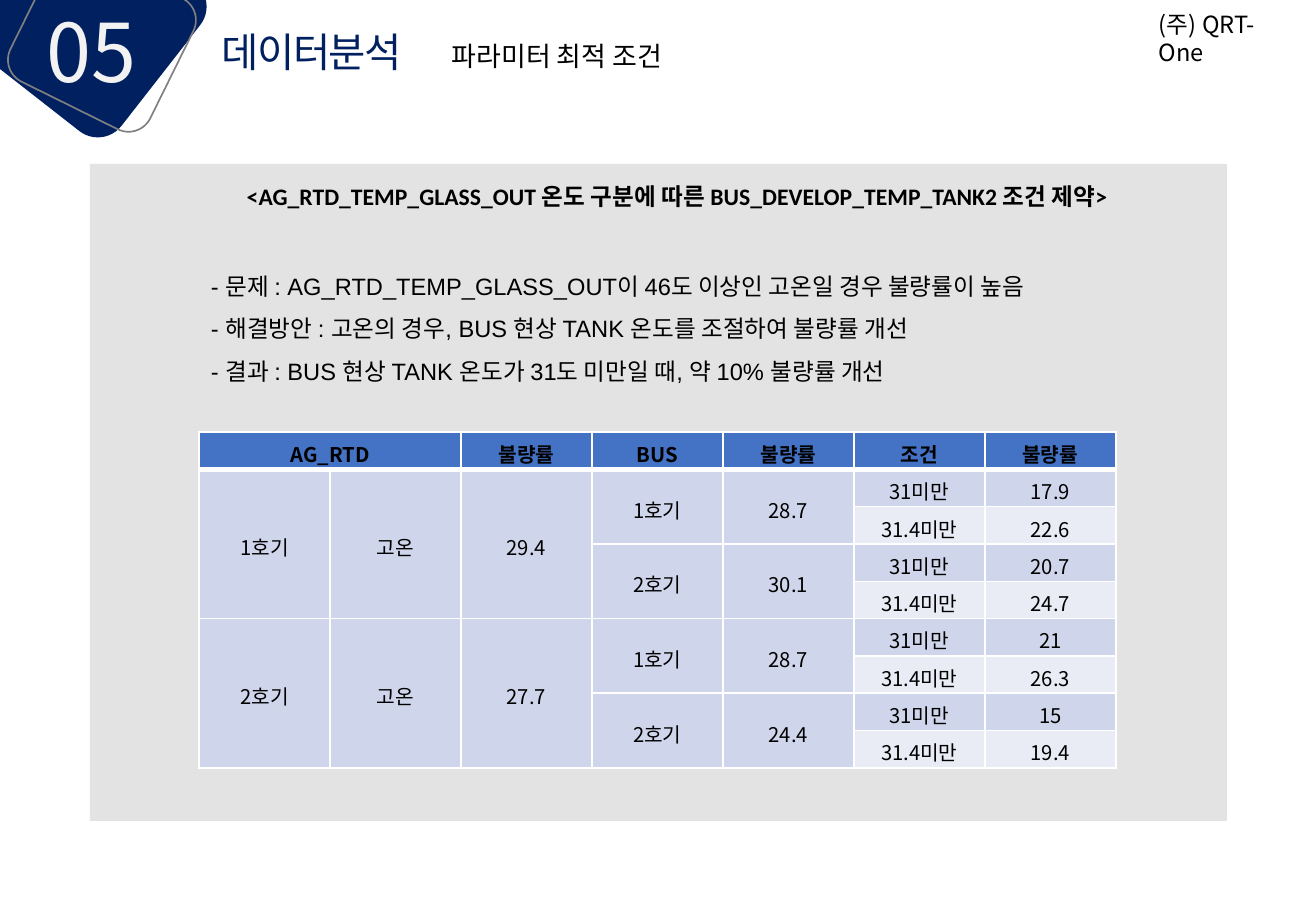
import lxml.etree
import pptx
import pptx.dml.color
import pptx.enum.shapes
import pptx.enum.text
import pptx.oxml.ns
import pptx.util

SHAPE = pptx.enum.shapes.MSO_SHAPE
ALIGN = pptx.enum.text.PP_ALIGN
ANCHOR = pptx.enum.text.MSO_ANCHOR
qn = pptx.oxml.ns.qn

COLORS = {
    "navy": "002060", "gray": "808080", "panel": "A6A6A6",
    "number": "F2F2F2", "black": "000000", "white": "FFFFFF",
    "header": "4472C4", "band": "CFD5EA", "light": "E9EBF5",
}


def px(length):
    return pptx.util.Emu(round(length * 914400 / 121.5))


def rgb(name):
    return pptx.dml.color.RGBColor.from_string(COLORS[name])


class SlideBuilder:
    korean_font = "Noto Sans CJK KR"

    def __init__(self, slide):
        self.slide = slide

    def shape(self, kind, left, top, width, height, fill=None, line=None, alpha=None, rotation=0):
        shape = self.slide.shapes.add_shape(kind, px(left), px(top), px(width), px(height))
        shape.shadow.inherit = False
        shape.rotation = rotation
        if fill:
            shape.fill.solid()
            shape.fill.fore_color.rgb = rgb(fill)
        else:
            shape.fill.background()
        if line:
            shape.line.color.rgb = rgb(line)
            shape.line.width = pptx.util.Pt(1)
        else:
            shape.line.fill.background()
        if alpha:
            color = shape.element.spPr.find(qn("a:solidFill")).find(qn("a:srgbClr"))
            lxml.etree.SubElement(color, qn("a:alpha"), val=str(alpha * 1000))

    def run(self, para, text, size, color="black", font=korean_font, bold=False, tracking=0):
        span = para.add_run()
        span.text = text
        span.font.size = pptx.util.Pt(size)
        span.font.name = font
        span.font.bold = bold
        span.font.color.rgb = rgb(color)
        properties = span.font._element
        lxml.etree.SubElement(properties, qn("a:ea"), typeface=self.korean_font)
        if tracking:
            properties.set("spc", str(tracking * 100))

    def text(self, left, top, width, height, lines, size, align=ALIGN.LEFT,
             anchor=ANCHOR.MIDDLE, spacing=1.0, **style):
        box = self.slide.shapes.add_textbox(px(left), px(top), px(width), px(height))
        frame = box.text_frame
        frame.word_wrap = True
        frame.vertical_anchor = anchor
        for index, line in enumerate(lines):
            para = frame.add_paragraph() if index else frame.paragraphs[0]
            para.alignment = align
            para.line_spacing = spacing
            self.run(para, line, size, **style)

    def borders(self, cell, widths):
        properties = cell._tc.get_or_add_tcPr()
        for side, width in zip("LRTB", widths):
            line = lxml.etree.SubElement(properties, qn("a:ln" + side), w=str(pptx.util.Pt(width)))
            fill = lxml.etree.SubElement(line, qn("a:solidFill"))
            lxml.etree.SubElement(fill, qn("a:srgbClr"), val=COLORS["white"])

    def cell(self, cell, text, fill, bold, border_widths):
        self.borders(cell, border_widths)
        cell.fill.solid()
        cell.fill.fore_color.rgb = rgb(fill)
        cell.vertical_anchor = ANCHOR.MIDDLE
        cell.margin_top, cell.margin_bottom = px(6), px(1)
        para = cell.text_frame.paragraphs[0]
        para.alignment = ALIGN.CENTER
        para.line_spacing = 1.03
        if text:
            self.run(para, text, 12, bold=bold)

    def table(self, left, top, width, height, rows, spans):
        row_count, column_count = len(rows), len(rows[0])
        table = self.slide.shapes.add_table(
            row_count, column_count, px(left), px(top), px(width), px(height)).table
        for column in table.columns:
            column.width = px(width / column_count)
        for row_index, values in enumerate(rows):
            table.rows[row_index].height = px(height / row_count)
            for column_index, value in enumerate(values):
                is_header = row_index == 0
                is_light = column_index > 4 and row_index % 2 == 0
                fill = "header" if is_header else "light" if is_light else "band"
                widths = (1, 1, 3 if row_index == 1 else 1, 3 if is_header else 1)
                self.cell(table.cell(row_index, column_index), value, fill, is_header, widths)
        table.cell(0, 0).merge(table.cell(0, 1))
        for column_index, span in spans.items():
            for first in range(1, row_count, span):
                table.cell(first, column_index).merge(table.cell(first + span - 1, column_index))


deck = pptx.Presentation()
deck.slide_width, deck.slide_height = px(1316), px(911)
page = SlideBuilder(deck.slides.add_slide(deck.slide_layouts[6]))

page.shape(SHAPE.RECTANGLE, 90, 164, 1137, 657, fill="panel", alpha=31)
page.shape(SHAPE.ROUNDED_RECTANGLE, -4, -70, 188, 180, fill="navy", rotation=308)
page.shape(SHAPE.ROUNDED_RECTANGLE, 29, -38, 146, 156, line="gray", rotation=296.3)
page.text(35, -4, 141, 111, ["05"], 48, anchor=ANCHOR.TOP, color="number")
page.text(210, 21, 859, 61, ["데이터분석"], 24, color="navy", tracking=-1)
page.text(396, 36, 322, 44, ["파라미터 최적 조건"], 16, align=ALIGN.CENTER, spacing=0.9)
page.text(1147, 4, 145, 41, ["(주) QRT-One"], 14, anchor=ANCHOR.TOP)

page.text(233, 169, 888, 58,
          ["<AG_RTD_TEMP_GLASS_OUT 온도 구분에 따른 BUS_DEVELOP_TEMP_TANK2 조건 제약>"],
          14, align=ALIGN.CENTER, spacing=0.9, font="Calibri", bold=True)
page.text(199, 242, 922, 159, [
    "- 문제 : AG_RTD_TEMP_GLASS_OUT이 46도 이상인 고온일 경우 불량률이 높음",
    "- 해결방안 : 고온의 경우, BUS 현상 TANK 온도를 조절하여 불량률 개선",
    "- 결과 : BUS 현상 TANK 온도가 31도 미만일 때, 약 10% 불량률 개선",
], 14, align=ALIGN.JUSTIFY, spacing=1.5, font="Arial")

results = [
    ("1호기", "29.4", [("1호기", "28.7", "17.9", "22.6"), ("2호기", "30.1", "20.7", "24.7")]),
    ("2호기", "27.7", [("1호기", "28.7", "21", "26.3"), ("2호기", "24.4", "15", "19.4")]),
]
rows = [["AG_RTD", "", "불량률", "BUS", "불량률", "조건", "불량률"]]
for unit, unit_rate, buses in results:
    unit_cells = [unit, "고온", unit_rate]
    for bus, bus_rate, low_rate, high_rate in buses:
        rows.append(unit_cells + [bus, bus_rate, "31미만", low_rate])
        unit_cells = [""] * 3
        rows.append(unit_cells + ["", "", "31.4미만", high_rate])
page.table(199, 432, 917, 336, rows, {0: 4, 1: 4, 2: 4, 3: 2, 4: 2})

deck.save("out.pptx")
